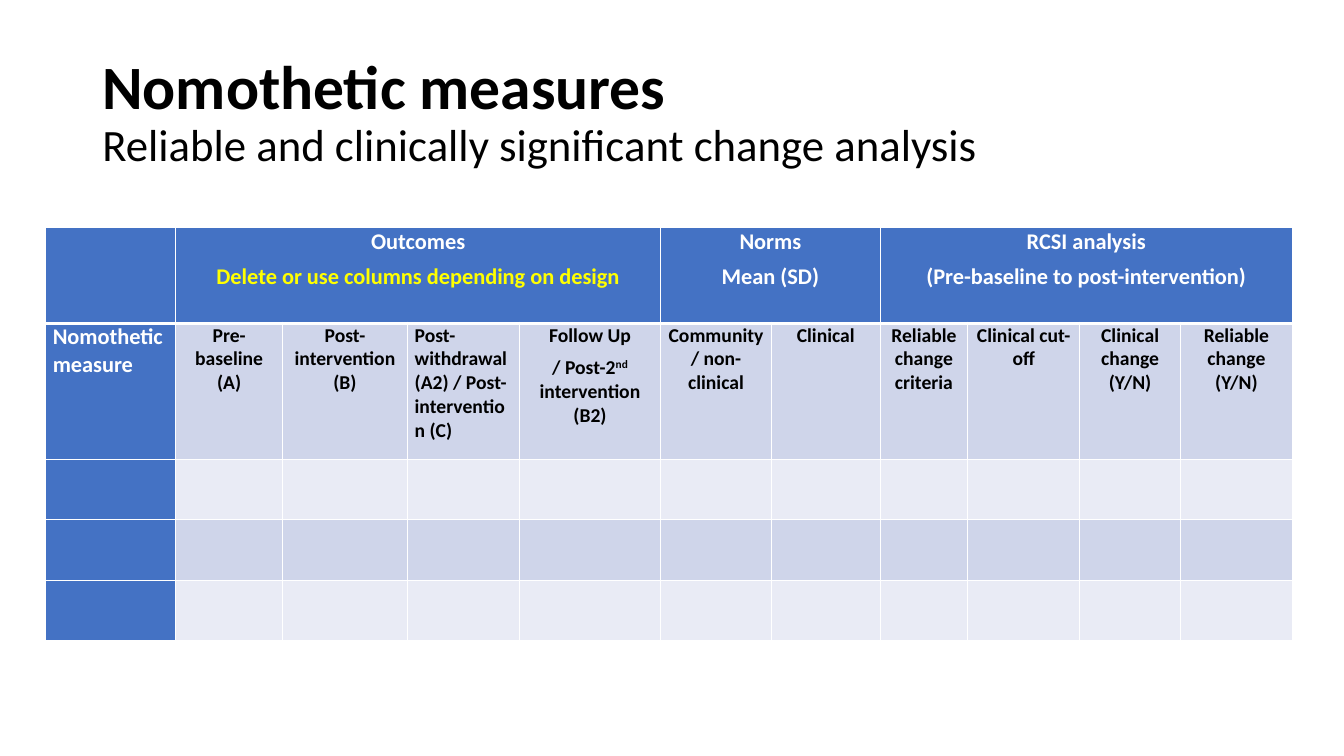
from dataclasses import dataclass
from itertools import product

from lxml.etree import SubElement
from pptx import Presentation
from pptx.dml.color import RGBColor as RGB
from pptx.enum.text import MSO_ANCHOR as Anchor, PP_ALIGN as Align
from pptx.oxml.ns import qn
from pptx.util import Cm, Pt


@dataclass(frozen=True)
class Theme:
    font: str = "Calibri"
    black: RGB = RGB(0x00, 0x00, 0x00)
    white: RGB = RGB(0xFF, 0xFF, 0xFF)
    yellow: RGB = RGB(0xFF, 0xFF, 0x00)
    header: RGB = RGB(0x44, 0x72, 0xC4)
    band: RGB = RGB(0xCF, 0xD5, 0xEA)
    light_band: RGB = RGB(0xE9, 0xEB, 0xF5)
    title_size: int = 44
    subtitle_size: int = 32
    group_size: int = 16
    column_size: int = 14


@dataclass(frozen=True)
class Line:
    text: str
    color: RGB
    size: int
    superscript: str = ""
    tail: str = ""


@dataclass(frozen=True)
class Label:
    row: int
    col: int
    lines: tuple[Line, ...]
    span: int = 1
    align: Align = Align.CENTER


THEME = Theme()
COLUMN_WIDTHS = (3.28, 2.69, 3.15, 2.82, 3.56, 2.79, 2.74, 2.21, 2.82, 2.54, 2.82)
ROW_HEIGHTS = (2.41, 3.43, 1.52, 1.52, 1.52)


def group_line(text: str, color: RGB = THEME.white) -> Line:
    return Line(text, color, THEME.group_size)


def column_line(text: str, superscript: str = "", tail: str = "") -> Line:
    return Line(text, THEME.black, THEME.column_size, superscript, tail)


LABELS = (
    Label(0, 1, (group_line("Outcomes"),
                 group_line("Delete or use columns depending on design", THEME.yellow)), span=4),
    Label(0, 5, (group_line("Norms"), group_line("Mean (SD)")), span=2),
    Label(0, 7, (group_line("RCSI analysis"),
                 group_line("(Pre-baseline to post-intervention)")), span=4),
    Label(1, 0, (group_line("Nomothetic measure"),), align=Align.LEFT),
    Label(1, 1, (column_line("Pre-baseline (A)"),)),
    Label(1, 2, (column_line("Post-intervention (B)"),)),
    Label(1, 3, (column_line("Post- withdrawal (A2) / Post- intervention (C)"),),
          align=Align.LEFT),
    Label(1, 4, (column_line("Follow Up"),
                 column_line("/ Post-2", "nd", " intervention (B2)"))),
    Label(1, 5, (column_line("Community/ non-clinical"),)),
    Label(1, 6, (column_line("Clinical"),)),
    Label(1, 7, (column_line("Reliable change criteria"),)),
    Label(1, 8, (column_line("Clinical cut-off"),)),
    Label(1, 9, (column_line("Clinical change (Y/N)"),)),
    Label(1, 10, (column_line("Reliable change (Y/N)"),)),
)


def style_font(font, size: int, color: RGB, bold: bool) -> None:
    font.name, font.size, font.bold = THEME.font, Pt(size), bold
    font.color.rgb = color


def add_title(slide) -> None:
    tf = slide.shapes.add_textbox(Cm(2.33), Cm(1.02), Cm(29.21), Cm(3.68)).text_frame
    tf.word_wrap = True
    tf.vertical_anchor = Anchor.MIDDLE
    p = tf.paragraphs[0]
    p.line_spacing = 0.9
    r = p.add_run()
    r.text = "Nomothetic measures"
    style_font(r.font, THEME.title_size, THEME.black, True)
    p.add_line_break()
    r = p.add_run()
    r.text = "Reliable and clinically significant change analysis"
    style_font(r.font, THEME.subtitle_size, THEME.black, False)


def cell_fill(row: int, col: int) -> RGB:
    if row == 0 or col == 0:
        return THEME.header
    return THEME.band if row % 2 else THEME.light_band


def add_borders(cell, row: int) -> None:
    """Draw white cell edges, thicker between the group row and the rest."""
    weights = {"lnL": 1, "lnR": 1, "lnT": 3 if row == 1 else 1, "lnB": 3 if row == 0 else 1}
    tc_pr = cell._tc.get_or_add_tcPr()
    for tag, weight in weights.items():
        ln = SubElement(tc_pr, qn(f"a:{tag}"), w=str(Pt(weight)))
        SubElement(SubElement(ln, qn("a:solidFill")), qn("a:srgbClr"), val=str(THEME.white))


def write_label(table, label: Label) -> None:
    cell = table.cell(label.row, label.col)
    if label.span > 1:
        cell.merge(table.cell(label.row, label.col + label.span - 1))
    cell.margin_left = cell.margin_right = Cm(0.18)
    cell.margin_top = cell.margin_bottom = Cm(0)
    tf = cell.text_frame
    for i, line in enumerate(label.lines):
        p = tf.add_paragraph() if i else tf.paragraphs[0]
        p.alignment = label.align
        p.space_after = Pt(6)
        style_font(p.font, line.size, line.color, True)
        p.add_run().text = line.text
        if line.superscript:
            r = p.add_run()
            r.text = line.superscript
            r._r.get_or_add_rPr().set("baseline", "30000")
            p.add_run().text = line.tail


def add_measures_table(slide) -> None:
    table = slide.shapes.add_table(
        len(ROW_HEIGHTS), len(COLUMN_WIDTHS), Cm(1.15), Cm(5.74),
        Cm(sum(COLUMN_WIDTHS)), Cm(sum(ROW_HEIGHTS))).table
    for column, width in zip(table.columns, COLUMN_WIDTHS):
        column.width = Cm(width)
    for row, height in zip(table.rows, ROW_HEIGHTS):
        row.height = Cm(height)
    for row, col in product(range(len(ROW_HEIGHTS)), range(len(COLUMN_WIDTHS))):
        cell = table.cell(row, col)
        add_borders(cell, row)
        cell.fill.solid()
        cell.fill.fore_color.rgb = cell_fill(row, col)
    for label in LABELS:
        write_label(table, label)


def main() -> None:
    prs = Presentation()
    prs.slide_width, prs.slide_height = Cm(33.87), Cm(19.05)
    slide = prs.slides.add_slide(prs.slide_layouts[6])
    add_title(slide)
    add_measures_table(slide)
    prs.save("out.pptx")


if __name__ == "__main__":
    main()
